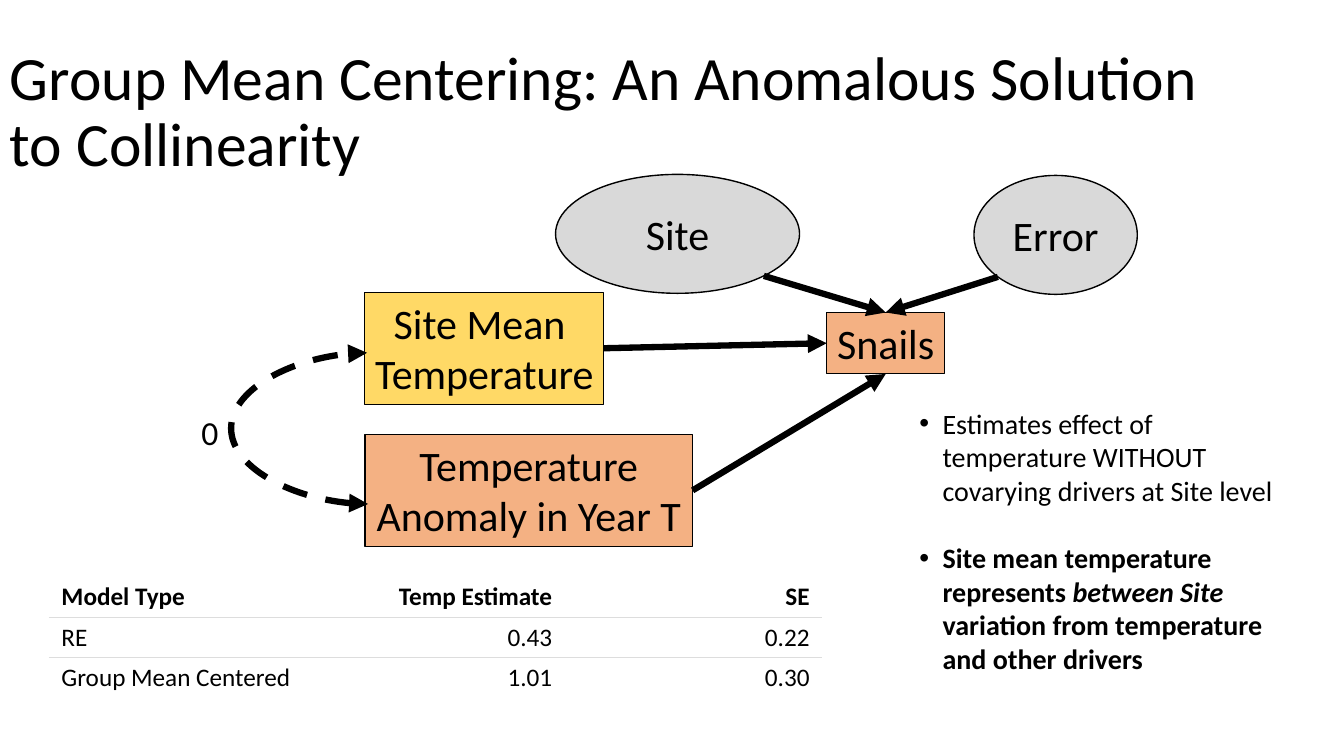
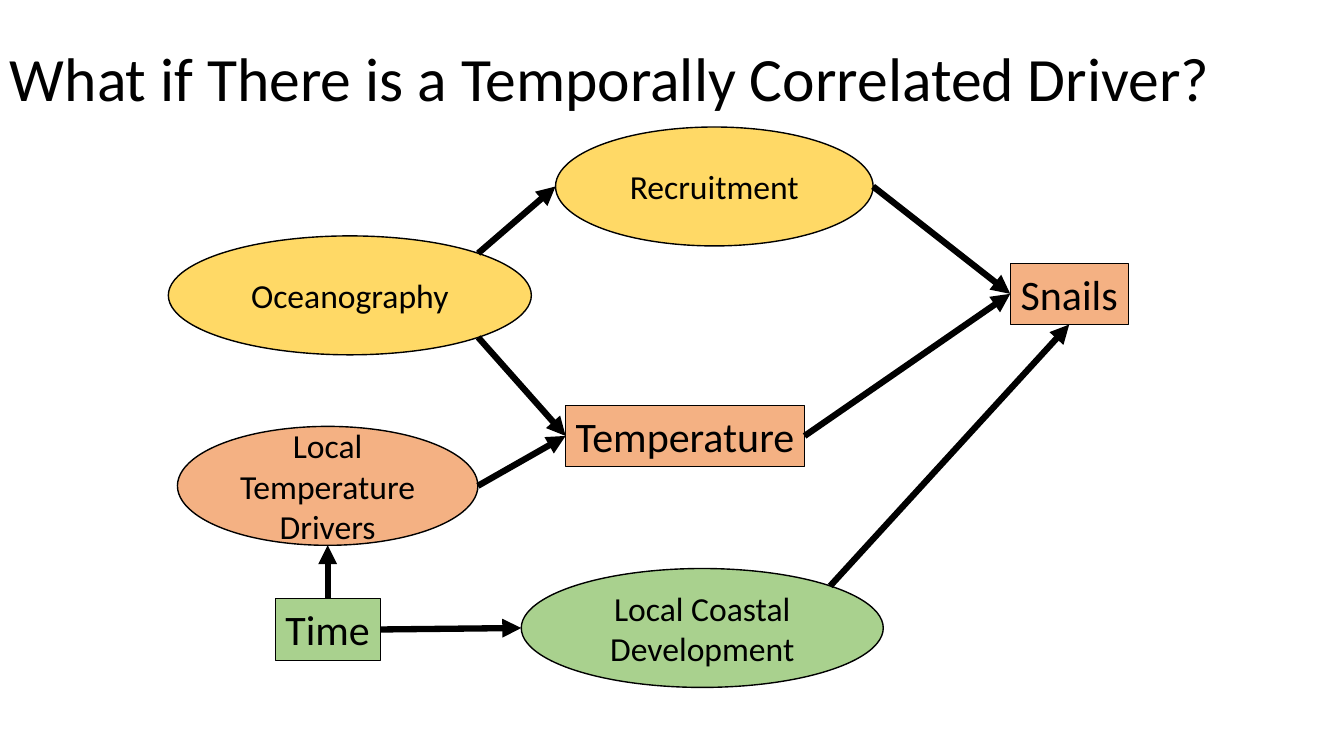
from dataclasses import dataclass
from math import sqrt

from lxml import etree
from pptx import Presentation
from pptx.dml.color import RGBColor
from pptx.enum.dml import MSO_LINE
from pptx.enum.shapes import MSO_CONNECTOR, MSO_SHAPE
from pptx.enum.text import MSO_ANCHOR, MSO_AUTO_SIZE, PP_ALIGN
from pptx.oxml.ns import qn
from pptx.util import Inches, Pt

# Shared look
BLACK = RGBColor(0x00, 0x00, 0x00)
WHITE = RGBColor(0xFF, 0xFF, 0xFF)
ORANGE = RGBColor(0xF4, 0xB1, 0x83)
YELLOW = RGBColor(0xFF, 0xD9, 0x66)
GREEN = RGBColor(0xA9, 0xD1, 0x8E)
GREY = RGBColor(0xD9, 0xD9, 0xD9)
RULE_GREY = RGBColor(0xDD, 0xDD, 0xDD)
FONT = "Calibri"
ARROW_WIDTH = Pt(4.5)
BLANK_LAYOUT = 6

RECTANGLE, ELLIPSE = MSO_SHAPE.RECTANGLE, MSO_SHAPE.OVAL
STRAIGHT, CURVE = MSO_CONNECTOR.STRAIGHT, MSO_CONNECTOR.CURVE
LEFT, CENTER, RIGHT = PP_ALIGN.LEFT, PP_ALIGN.CENTER, PP_ALIGN.RIGHT
TOP, MIDDLE, BOTTOM = MSO_ANCHOR.TOP, MSO_ANCHOR.MIDDLE, MSO_ANCHOR.BOTTOM
GROW = MSO_AUTO_SIZE.SHAPE_TO_FIT_TEXT
DASH = MSO_LINE.DASH

# Attachment points as offsets from the centre, in half widths and heights
DIAGONAL = 1 / sqrt(2)
OFFSETS = {
    "top": (0, -1), "left": (-1, 0), "bottom": (0, 1), "right": (1, 0),
    "top right": (DIAGONAL, -DIAGONAL),
    "bottom right": (DIAGONAL, DIAGONAL),
    "bottom left": (-DIAGONAL, DIAGONAL),
}
RECTANGLE_SITES = {"top": 0, "left": 1, "bottom": 2, "right": 3}


@dataclass(frozen=True)
class Span:
    text: str
    bold: bool = False
    italic: bool = False


@dataclass(frozen=True)
class Node:
    """A variable of a path diagram; a line break in text starts a paragraph."""
    text: str
    left: float
    top: float
    width: float
    height: float
    color: RGBColor
    kind: int = RECTANGLE
    size: int = 30
    side_inset: float = 0.1


@dataclass(frozen=True)
class Arrow:
    source: str
    source_side: str
    target: str
    target_side: str


def write(frame, paragraphs, *, size, align=LEFT, anchor=TOP, wrap=True, grow=False,
          bold=False, bulleted=False, line_spacing=None, gap=0) -> None:
    """Fill a text frame; each paragraph is a string or a list of spans."""
    frame.word_wrap = wrap
    frame.vertical_anchor = anchor
    if grow:
        frame.auto_size = GROW
    for index, content in enumerate(paragraphs):
        para = frame.add_paragraph() if index else frame.paragraphs[0]
        if bulleted:
            add_bullet(para)
        para.alignment = align
        if line_spacing:
            para.line_spacing = line_spacing
        if index and gap:
            para.space_before = Pt(gap)
        spans = [Span(content, bold)] if isinstance(content, str) else content
        for span in spans:
            run = para.add_run()
            run.text = span.text
            font = run.font
            font.name, font.size = FONT, Pt(size)
            font.bold, font.italic = span.bold, span.italic
            font.color.rgb = BLACK


def add_bullet(para) -> None:
    properties = para._p.get_or_add_pPr()
    properties.set("marL", str(Inches(0.23)))
    properties.set("indent", str(-Inches(0.23)))
    etree.SubElement(properties, qn("a:buFont"), typeface="Arial")
    etree.SubElement(properties, qn("a:buChar"), char="•")


def add_text(slide, left: float, top: float, width: float, height: float,
             paragraphs, **text_format) -> None:
    box = slide.shapes.add_textbox(Inches(left), Inches(top), Inches(width), Inches(height))
    write(box.text_frame, paragraphs, **text_format)


def add_page(deck, title: str, title_top: float):
    slide = deck.slides.add_slide(deck.slide_layouts[BLANK_LAYOUT])
    add_text(slide, 0, title_top, 12.42, 1.45, [title],
             size=44, anchor=MIDDLE, line_spacing=0.9)
    return slide


def add_node(slide, node: Node):
    shape = slide.shapes.add_shape(node.kind, Inches(node.left), Inches(node.top),
                                   Inches(node.width), Inches(node.height))
    shape.shadow.inherit = False
    shape.fill.solid()
    shape.fill.fore_color.rgb = node.color
    shape.line.color.rgb = BLACK
    is_box = node.kind == RECTANGLE
    shape.line.width = Pt(0.75 if is_box else 1)
    frame = shape.text_frame
    frame.margin_left = frame.margin_right = Inches(node.side_inset)
    write(frame, node.text.split("\n"), size=node.size, align=CENTER,
          anchor=TOP if is_box else MIDDLE, wrap=not is_box, grow=is_box)
    return shape


def style_arrow(connector, *ends: str) -> None:
    connector.line.color.rgb = BLACK
    connector.line.width = ARROW_WIDTH
    outline = connector.line._get_or_add_ln()
    for end in ends:
        etree.SubElement(outline, qn(f"a:{end}"), type="triangle")
    etree.SubElement(connector._element.spPr, qn("a:effectLst"))


def attachment(shape, side: str) -> tuple[int, int]:
    across, down = OFFSETS[side]
    return (round(shape.left + shape.width * (1 + across) / 2),
            round(shape.top + shape.height * (1 + down) / 2))


def add_arrow(slide, source, source_side: str, target, target_side: str) -> None:
    connector = slide.shapes.add_connector(
        STRAIGHT, *attachment(source, source_side), *attachment(target, target_side))
    if source.auto_shape_type == RECTANGLE:
        connector.begin_connect(source, RECTANGLE_SITES[source_side])
    if target.auto_shape_type == RECTANGLE:
        connector.end_connect(target, RECTANGLE_SITES[target_side])
    style_arrow(connector, "tailEnd")


def add_diagram(slide, nodes: dict[str, Node], arrows: list[Arrow]) -> None:
    shapes = {name: add_node(slide, node) for name, node in nodes.items()}
    for arrow in arrows:
        add_arrow(slide, shapes[arrow.source], arrow.source_side,
                  shapes[arrow.target], arrow.target_side)


def add_covariance_arc(slide, left: float, top: float, bottom: float, bulge: float) -> None:
    """Dashed double-headed curve that bows out to the left."""
    width = 0.01
    arc = slide.shapes.add_connector(CURVE, Inches(left), Inches(top),
                                     Inches(left + width), Inches(bottom))
    properties = arc._element.spPr
    properties.find(qn("a:xfrm")).set("rot", "10800000")
    geometry = properties.find(qn("a:prstGeom"))
    adjustments = geometry.find(qn("a:avLst"))
    if adjustments is None:
        adjustments = etree.SubElement(geometry, qn("a:avLst"))
    etree.SubElement(adjustments, qn("a:gd"), name="adj1",
                     fmla=f"val {round(bulge / width * 100000)}")
    arc.line.dash_style = DASH
    style_arrow(arc, "headEnd", "tailEnd")


def add_cell_border(cell, edge: str) -> None:
    properties = cell._tc.get_or_add_tcPr()
    line = etree.Element(qn(f"a:{edge}"), w=str(Pt(0.75)))
    fill = etree.SubElement(line, qn("a:solidFill"))
    etree.SubElement(fill, qn("a:srgbClr"), val=str(RULE_GREY))
    # Borders come before the fill in cell properties
    properties.insert(len(properties.findall(qn("a:lnT"))), line)


def add_estimates(slide, rows: list[tuple[str, ...]]) -> None:
    row_count, column_count = len(rows), len(rows[0])
    table = slide.shapes.add_table(row_count, column_count, Inches(0.49), Inches(5.72),
                                   Inches(7.66), Inches(1.21)).table
    table.first_row = table.horz_banding = False
    for row_index, row in enumerate(rows):
        is_header = row_index == 0
        for column_index, text in enumerate(row):
            cell = table.cell(row_index, column_index)
            cell.fill.solid()
            cell.fill.fore_color.rgb = WHITE
            cell.margin_left = cell.margin_right = Inches(0.12)
            cell.margin_top = cell.margin_bottom = Inches(0.05)
            write(cell.text_frame, [text], size=18, bold=is_header,
                  align=RIGHT if column_index else LEFT)
            cell.vertical_anchor = BOTTOM if is_header else TOP
            if not is_header:
                add_cell_border(cell, "lnT")
            if row_index < row_count - 1:
                add_cell_border(cell, "lnB")


def build_centering_page(deck) -> None:
    slide = add_page(deck, "Group Mean Centering: An Anomalous Solution to Collinearity", 0.4)
    add_diagram(slide, {
        "anomaly": Node("Temperature\nAnomaly in Year T", 3.62, 4.31, 3.25, 1.11, ORANGE),
        "snails": Node("Snails", 8.2, 3.1, 1.17, 0.61, ORANGE),
        "site": Node("Site", 5.51, 1.73, 2.42, 1.18, GREY, ELLIPSE),
        "error": Node("Error", 9.66, 1.74, 1.62, 1.18, GREY, ELLIPSE),
        "site mean": Node("Site Mean \nTemperature", 3.62, 2.9, 2.37, 1.11, YELLOW),
    }, [
        Arrow("anomaly", "right", "snails", "bottom"),
        Arrow("site", "bottom right", "snails", "top"),
        Arrow("error", "bottom left", "snails", "top"),
        Arrow("site mean", "right", "snails", "left"),
    ])
    add_covariance_arc(slide, 3.64, 3.5, 5, 1.38)
    add_text(slide, 1.9, 4.04, 0.37, 0.5, ["0"], size=24, wrap=False, grow=True)

    # Interpretation and estimates
    add_text(slide, 9.02, 3.98, 3.97, 2.79, [
        "Estimates effect of temperature WITHOUT covarying drivers at Site level",
        [Span("Site mean temperature represents", bold=True),
         Span(" between Site ", bold=True, italic=True),
         Span("variation from temperature and other drivers", bold=True)],
    ], size=20, grow=True, bulleted=True, gap=24)
    add_estimates(slide, [
        ("Model Type", "Temp Estimate", "SE"),
        ("RE", "0.43", "0.22"),
        ("Group Mean Centered", "1.01", "0.30"),
    ])


def build_driver_page(deck) -> None:
    slide = add_page(deck, "What if There is a Temporally Correlated Driver?", 0.08)
    add_diagram(slide, {
        "temperature": Node("Temperature", 5.61, 4.02, 2.37, 0.61, ORANGE),
        "snails": Node("Snails", 10.02, 2.61, 1.17, 0.61, ORANGE),
        "oceanography": Node("Oceanography", 1.67, 2.34, 3.6, 1.18, YELLOW, ELLIPSE, 24, 0),
        "recruitment": Node("Recruitment", 5.51, 1.26, 3.15, 1.18, YELLOW, ELLIPSE, 24),
        "development": Node("Local Coastal Development", 5.17, 5.64, 3.59, 1.18,
                            GREEN, ELLIPSE, 24),
        "time": Node("Time", 2.73, 5.94, 1.04, 0.61, GREEN),
        "local drivers": Node("Local Temperature Drivers", 1.76, 4.23, 2.98, 1.18,
                              ORANGE, ELLIPSE, 24, 0),
    }, [
        Arrow("temperature", "right", "snails", "left"),
        Arrow("oceanography", "bottom right", "temperature", "left"),
        Arrow("oceanography", "top right", "recruitment", "left"),
        Arrow("recruitment", "right", "snails", "left"),
        Arrow("development", "top right", "snails", "bottom"),
        Arrow("time", "top", "local drivers", "bottom"),
        Arrow("time", "right", "development", "left"),
        Arrow("local drivers", "right", "temperature", "left"),
    ])


def main() -> None:
    deck = Presentation()
    deck.slide_width, deck.slide_height = Inches(13.33), Inches(7.5)
    build_centering_page(deck)
    build_driver_page(deck)
    deck.save("out.pptx")


if __name__ == "__main__":
    main()
